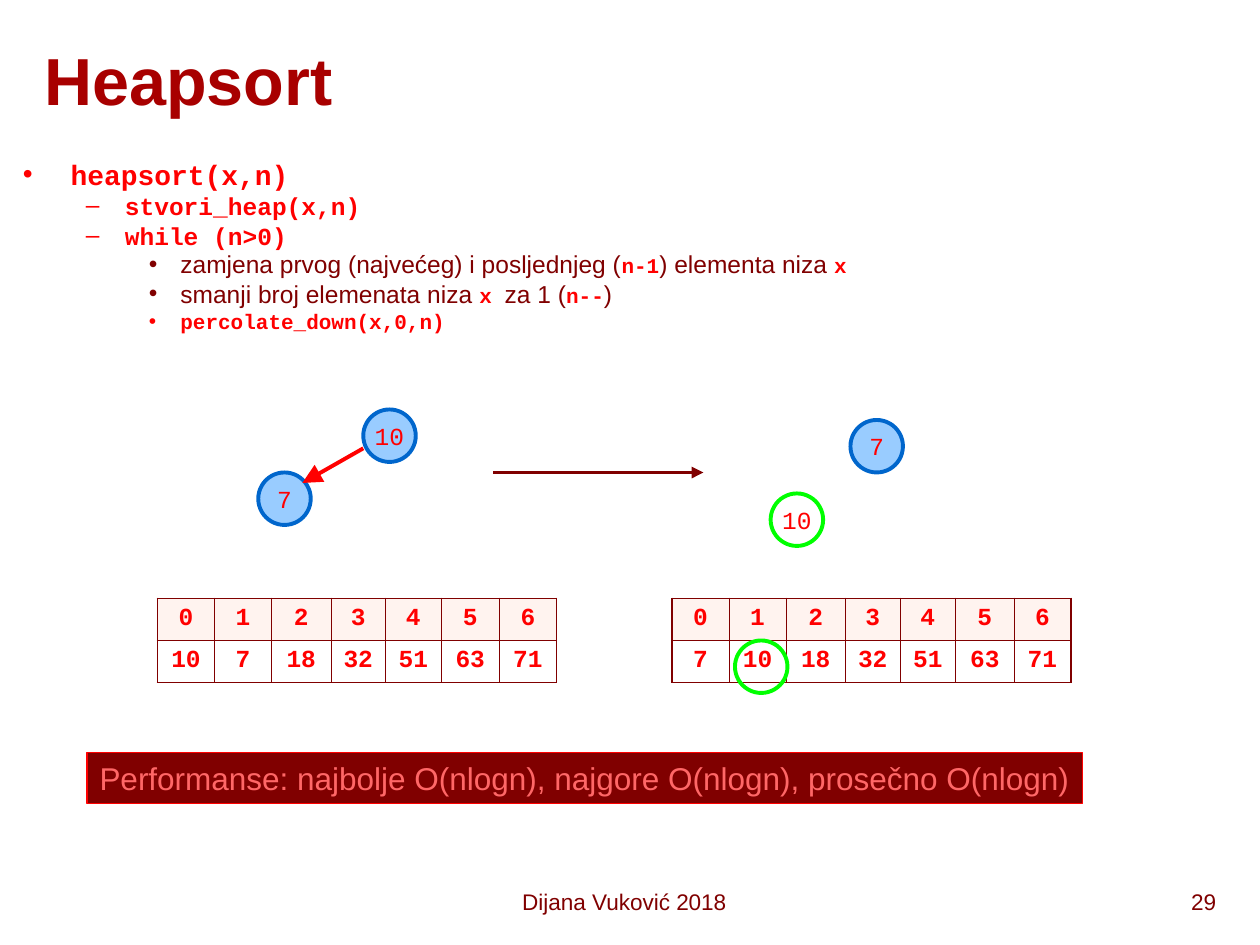
from lxml import etree
from pptx import Presentation, util as u
from pptx.dml import color
from pptx.enum import shapes, text
from pptx.oxml import ns

SIZE = (10, 7.5)
UNIT = SIZE[0] / 120
SANS, MONO = "Arial", "Courier New"
COLORS = {
    "title": "A80000", "dark": "800000", "red": "FF0000", "pink": "FF6767",
    "node": "99CCFF", "node_edge": "0066CC", "ring": "00FF00",
    "header": "FFF3EF", "white": "FFFFFF",
}

TITLE = ("Heapsort", (3, 1, 114, 13))
OUTLINE_BOX = (1, 15, 90, 18)
OUTLINE = [
    (0, 0, [("heapsort(x,n)", "code", 16)]),
    (1, 3.5, [("stvori_heap(x,n)", "code", 14)]),
    (1, 3.5, [("while (n>0)", "code", 14)]),
    (2, 3, [("zamjena prvog (najvećeg) i posljednjeg (", "prose", 14),
            ("n-1", "code", 12), (") elementa niza ", "prose", 14),
            ("x", "code", 12)]),
    (2, 3.5, [("smanji broj elemenata niza ", "prose", 14), ("x ", "code", 12),
              ("za 1 (", "prose", 14), ("n--", "code", 12),
              (")", "prose", 14)]),
    (2, 3, [("percolate_down(x,0,n)", "code", 12)]),
]
LEVELS = [(0.38, 0.38, "•"), (0.81, 0.31, "–"), (1.25, 0.25, "•")]
RUN_STYLES = {"code": (MONO, "red", True), "prose": (SANS, "dark", False)}

NODE_SIZE = 5
NODES = [
    ("7", 81, 40, "node", "node_edge"),
    ("10", 73.4, 47, None, "ring"),
    ("10", 34.6, 39, "node", "node_edge"),
    ("7", 24.6, 45, "node", "node_edge"),
]
SORTED_MARK = ("", 70, 61, None, "ring")
ARROWS = [
    ((47, 45), (67, 45), "dark", "med"),
    ((34.6, 42.7), (28.8, 46), "red", "lg"),
]
INDEXES = ["0", "1", "2", "3", "4", "5", "6"]
TAIL = ["18", "32", "51", "63", "71"]
TABLES = [(15, ["10", "7"] + TAIL), (64, ["7", "10"] + TAIL)]
TABLE_TOP, TABLE_WIDTH, ROW_HEIGHT = 57, 38, 4
COLUMN_SHARES = [45, 45, 47, 43, 44, 46, 45]
CELL_MARGIN = 0.08

PERFORMANCE = ("Performanse: najbolje O(nlogn), najgore O(nlogn), prosečno O(nlogn)",
               (8.3, 71.7, 94.8, 4.8))
FOOTERS = [
    ("Dijana Vuković 2018", (44.9, 84, 29.1, 4), text.PP_ALIGN.CENTER),
    ("29", (93, 84, 24, 4), text.PP_ALIGN.RIGHT),
]


def rgb(name):
    return color.RGBColor.from_string(COLORS[name])


def grid(*values):
    return [u.Inches(v * UNIT) for v in values]


def add_run(p, words, size, font, tint, bold=False):
    r = p.add_run()
    r.text = words
    r.font.size, r.font.name, r.font.bold = u.Pt(size), font, bold
    r.font.color.rgb = rgb(tint)


def child(parent, tag, **attrs):
    return etree.SubElement(parent, ns.qn(tag), attrs)


def paint(sp, fill, edge, width):
    sp.shadow.inherit = False
    if fill:
        sp.fill.solid()
        sp.fill.fore_color.rgb = rgb(fill)
    else:
        sp.fill.background()
    sp.line.color.rgb = rgb(edge)
    sp.line.width = u.Pt(width)


def add_title(s):
    words, box = TITLE
    sp = s.shapes.title
    sp.left, sp.top, sp.width, sp.height = grid(*box)
    tf = sp.text_frame
    tf.vertical_anchor = text.MSO_ANCHOR.MIDDLE
    p = tf.paragraphs[0]
    p.alignment = text.PP_ALIGN.LEFT
    add_run(p, words, 38, SANS, "title", True)


def add_outline(s):
    tf = s.shapes.add_textbox(*grid(*OUTLINE_BOX)).text_frame
    tf.word_wrap = True
    for i, (level, before, runs) in enumerate(OUTLINE):
        p = tf.add_paragraph() if i else tf.paragraphs[0]
        p.level, p.line_spacing = level, 0.8
        if before:
            p.space_before = u.Pt(before)
        margin, hang, bullet = LEVELS[level]
        pPr = p._p.get_or_add_pPr()
        pPr.set("marL", str(u.Inches(margin)))
        pPr.set("indent", str(-u.Inches(hang)))
        tint = RUN_STYLES[runs[0][1]][1]
        child(child(pPr, "a:buClr"), "a:srgbClr", val=COLORS[tint])
        child(pPr, "a:buFont", typeface=SANS)
        child(pPr, "a:buChar", char=bullet)
        for words, style, size in runs:
            add_run(p, words, size, *RUN_STYLES[style])


def add_node(s, label, x, y, fill, edge):
    sp = s.shapes.add_shape(shapes.MSO_SHAPE.OVAL,
                            *grid(x, y, NODE_SIZE, NODE_SIZE))
    paint(sp, fill, edge, 2.25)
    if label:
        tf = sp.text_frame
        tf.word_wrap = False
        tf.vertical_anchor = text.MSO_ANCHOR.MIDDLE
        p = tf.paragraphs[0]
        p.alignment = text.PP_ALIGN.CENTER
        add_run(p, label, 14, MONO, "red")


def add_arrow(s, start, end, tint, head):
    sp = s.shapes.add_connector(shapes.MSO_CONNECTOR.STRAIGHT,
                                *grid(*start, *end))
    sp.line.color.rgb = rgb(tint)
    sp.line.width = u.Pt(2.25)
    child(sp.line._get_or_add_ln(), "a:tailEnd", type="triangle", w=head, len=head)
    child(sp._element.spPr, "a:effectLst")


def add_borders(cell, outer):
    tcPr = cell._tc.get_or_add_tcPr()
    for side in "LRTB":
        width = u.Pt(1.08 if side in outer else 0.45)
        ln = child(tcPr, f"a:ln{side}", w=str(width))
        child(child(ln, "a:solidFill"), "a:srgbClr", val=COLORS["dark"])


def add_array(s, left, values):
    rows = [INDEXES, values]
    last = len(INDEXES) - 1
    x, y, width, height = grid(left, TABLE_TOP, TABLE_WIDTH,
                               ROW_HEIGHT * len(rows))
    table = s.shapes.add_table(len(rows), len(INDEXES), x, y, width, height).table
    for column, share in zip(table.columns, COLUMN_SHARES):
        column.width = width * share // sum(COLUMN_SHARES)
    for r, row in enumerate(rows):
        for c, value in enumerate(row):
            cell = table.cell(r, c)
            cell.margin_left = cell.margin_right = u.Inches(CELL_MARGIN)
            outer = "B" if r else "T"
            outer += {0: "L", last: "R"}.get(c, "")
            add_borders(cell, outer)
            cell.fill.solid()
            cell.fill.fore_color.rgb = rgb("white" if r else "header")
            p = cell.text_frame.paragraphs[0]
            p.alignment = text.PP_ALIGN.CENTER
            add_run(p, value, 14, MONO, "red", True)


def add_performance(s):
    words, box = PERFORMANCE
    sp = s.shapes.add_shape(shapes.MSO_SHAPE.RECTANGLE, *grid(*box))
    paint(sp, "dark", "red", 0.75)
    tf = sp.text_frame
    tf.word_wrap = False
    tf.vertical_anchor = text.MSO_ANCHOR.TOP
    p = tf.paragraphs[0]
    p.alignment = text.PP_ALIGN.LEFT
    add_run(p, words, 18, SANS, "pink")


def main():
    prs = Presentation()
    prs.slide_width, prs.slide_height = (u.Inches(v) for v in SIZE)
    s = prs.slides.add_slide(prs.slide_layouts[5])
    add_title(s)
    add_outline(s)
    for node in NODES:
        add_node(s, *node)
    for arrow in ARROWS:
        add_arrow(s, *arrow)
    for left, values in TABLES:
        add_array(s, left, values)
    add_node(s, *SORTED_MARK)
    add_performance(s)
    for words, box, align in FOOTERS:
        tf = s.shapes.add_textbox(*grid(*box)).text_frame
        tf.word_wrap = True
        p = tf.paragraphs[0]
        p.alignment = align
        add_run(p, words, 12.9, SANS, "dark")
    prs.save("out.pptx")


if __name__ == "__main__":
    main()
